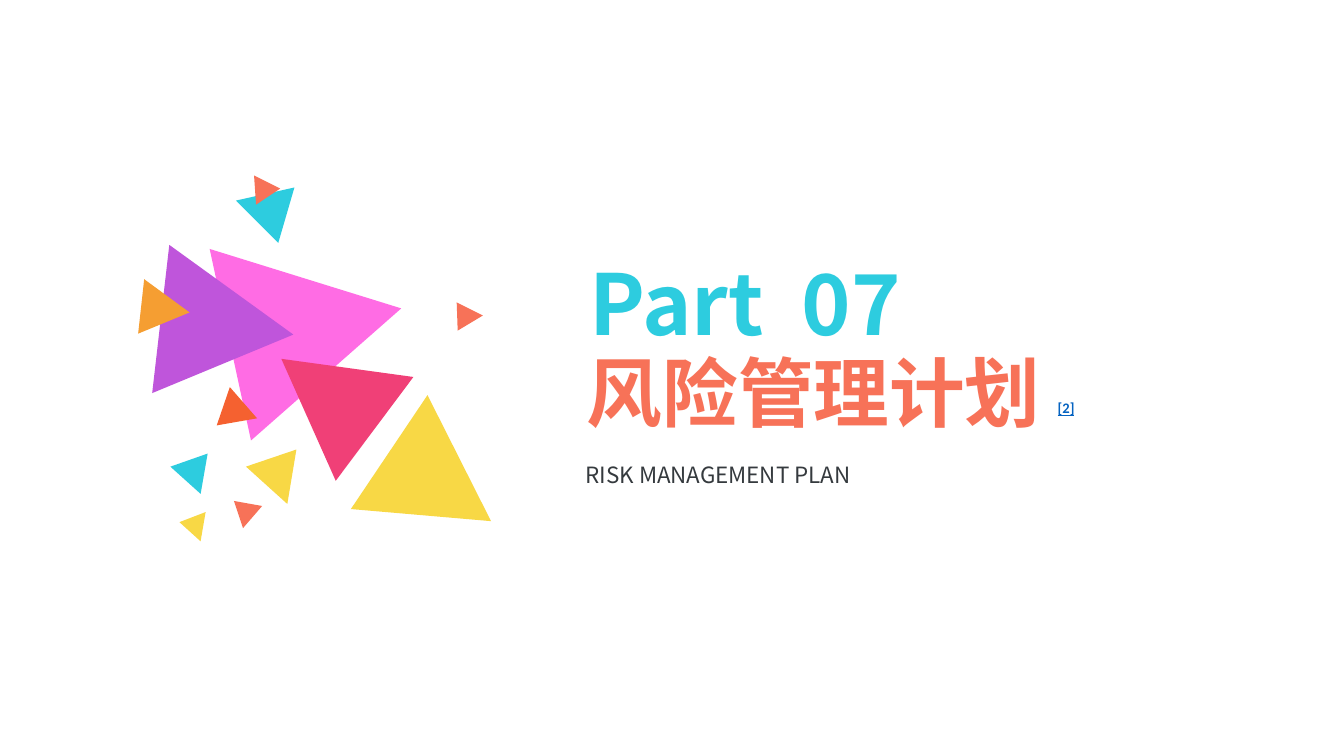
from dataclasses import dataclass

from lxml import etree
from pptx import Presentation
from pptx.dml.color import RGBColor
from pptx.enum.text import MSO_ANCHOR, MSO_AUTO_SIZE, PP_ALIGN
from pptx.oxml.ns import qn
from pptx.util import Inches, Pt

LEFT = PP_ALIGN.LEFT
TOP = MSO_ANCHOR.TOP
FIXED = MSO_AUTO_SIZE.NONE


@dataclass(frozen=True)
class Theme:
    cyan: str = "2DCCDF"
    pink: str = "FF6CE4"
    purple: str = "BF55DB"
    amber: str = "F59E32"
    orange: str = "F56130"
    yellow: str = "F8D845"
    coral: str = "F77258"
    rose: str = "F04077"
    ink: str = "353A3E"
    blue: str = "0563C1"
    font: str = "Noto Sans CJK SC"
    note_font: str = "Calibri"
    part_size: int = 60
    title_size: int = 54
    note_size: int = 18
    sub_size: int = 16


THEME = Theme()

# Fill and three corners in inches, from back to front
SHARDS = [
    (THEME.cyan, (2.92, 1.86), (2.76, 2.41), (2.34, 1.99)),
    (THEME.pink, (2.49, 4.37), (2.08, 2.47), (3.98, 3.06)),
    (THEME.purple, (1.51, 3.9), (1.68, 2.43), (2.91, 3.32)),
    (THEME.amber, (1.37, 3.31), (1.43, 2.77), (1.88, 3.1)),
    (THEME.orange, (2.15, 4.22), (2.28, 3.84), (2.55, 4.15)),
    (THEME.cyan, (1.69, 4.63), (2.06, 4.5), (1.99, 4.9)),
    (THEME.yellow, (1.78, 5.18), (2.04, 5.08), (1.99, 5.37)),
    (THEME.coral, (2.41, 5.24), (2.32, 4.97), (2.6, 5.02)),
    (THEME.yellow, (2.44, 4.63), (2.94, 4.46), (2.85, 5)),
    (THEME.yellow, (3.48, 5.05), (4.24, 3.92), (4.87, 5.17)),
    (THEME.rose, (4.1, 3.74), (3.33, 4.77), (2.79, 3.56)),
    (THEME.coral, (4.54, 3.28), (4.53, 3), (4.79, 3.13)),
    (THEME.coral, (2.54, 2.03), (2.52, 1.74), (2.78, 1.87)),
]


def add_shard(slide, color, *corners):
    """Draw one filled triangle."""
    first, *rest = [(Inches(x), Inches(y)) for x, y in corners]
    pen = slide.shapes.build_freeform(*first)
    pen.add_line_segments(rest, close=True)
    shard = pen.convert_to_shape()
    shard.shadow.inherit = False
    shard.fill.solid()
    shard.fill.fore_color.rgb = RGBColor.from_string(color)
    shard.line.fill.background()


def add_run(para, text, size, color, bold=True, font=THEME.font):
    run = para.add_run()
    run.text = text
    run.font.size = Pt(size)
    run.font.bold = bold
    run.font.name = font
    run.font.color.rgb = RGBColor.from_string(color)
    props = run.font._element
    east = etree.SubElement(props, qn("a:ea"))
    east.set("typeface", font)
    return run


def set_frame(shape):
    """Fix the frame of a text shape and return its first paragraph."""
    frame = shape.text_frame
    frame.word_wrap = True
    frame.auto_size = FIXED
    frame.vertical_anchor = TOP
    para = frame.paragraphs[0]
    para.alignment = LEFT
    return para


def add_box(slide, left, top, width, height):
    box = slide.shapes.add_textbox(
        Inches(left), Inches(top), Inches(width), Inches(height))
    return set_frame(box)


def add_part(slide):
    para = add_box(slide, 5.75, 2.45, 4.5, 1.11)
    size, color = THEME.part_size, THEME.cyan
    add_run(para, "Part", size, color)
    gap = add_run(para, " ", size, color)
    gap.font._element.set("spc", "1340")
    add_run(para, "07", size, color)


def set_title(slide):
    title = slide.shapes.title
    title.left, title.top = Inches(5.72), Inches(3.38)
    title.width, title.height = Inches(7.08), Inches(1.01)
    para = set_frame(title)
    add_run(para, "风险管理计划 ", THEME.title_size, THEME.coral)
    note = add_run(para, "[2]", THEME.note_size, THEME.blue,
                   font=THEME.note_font)
    note.font.underline = True
    note.font._element.set("baseline", "30000")


def add_sub(slide):
    para = add_box(slide, 5.71, 4.53, 6.62, 0.37)
    add_run(para, "RISK MANAGEMENT PLAN", THEME.sub_size, THEME.ink,
            bold=False)


def main():
    deck = Presentation()
    deck.slide_width, deck.slide_height = Inches(13.33), Inches(7.5)
    slide = deck.slides.add_slide(deck.slide_layouts[5])
    for shard in SHARDS:
        add_shard(slide, *shard)
    add_part(slide)
    set_title(slide)
    add_sub(slide)
    deck.save("out.pptx")


if __name__ == "__main__":
    main()
